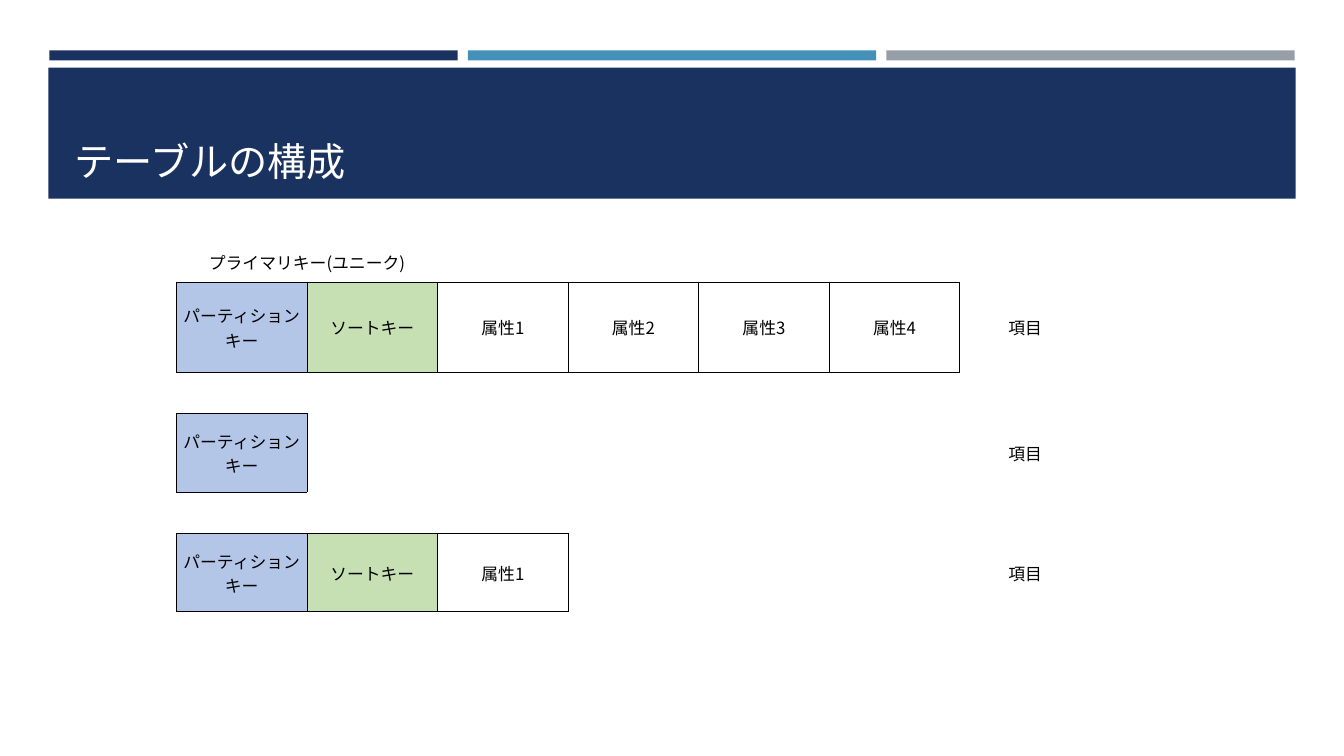
import pptx
import pptx.dml.color
import pptx.enum.shapes
import pptx.enum.text
import pptx.oxml
import pptx.oxml.ns
import pptx.util

Inches, Pt = pptx.util.Inches, pptx.util.Pt
RGBColor = pptx.dml.color.RGBColor
NAVY = RGBColor(0x1A, 0x32, 0x60)
BLUE = RGBColor(0x45, 0x90, 0xB8)
GRAY = RGBColor(0x96, 0x9F, 0xA7)
WHITE = RGBColor(0xFF, 0xFF, 0xFF)
BLACK = RGBColor(0, 0, 0)
PARTITION_BLUE = RGBColor(0xB4, 0xC6, 0xE7)
SORT_GREEN = RGBColor(0xC6, 0xE0, 0xB4)

TITLE = "テーブルの構成"
PRIMARY_KEY = "プライマリキー(ユニーク)"
ITEM = "項目"
FIELDS = ["パーティションキー", "ソートキー", "属性1", "属性2", "属性3", "属性4"]
KEY_FILLS = {0: PARTITION_BLUE, 1: SORT_GREEN}
FIELD_COUNTS = {1: 6, 3: 1, 5: 3}  # table row: number of boxed fields
ROW_HEIGHTS = [0.41, 0.89, 0.41, 0.78, 0.41, 0.78]
COLUMN_COUNT = len(FIELDS) + 1
COLUMN_WIDTH = 1.295
SIDES = {"L": (0, -1), "R": (0, 1), "T": (-1, 0), "B": (1, 0)}


def add_bar(slide, left, top, width, height, color):
    bar = slide.shapes.add_shape(
        pptx.enum.shapes.MSO_SHAPE.RECTANGLE,
        Inches(left), Inches(top), Inches(width), Inches(height))
    bar.shadow.inherit = False
    bar.fill.solid()
    bar.fill.fore_color.rgb = color
    bar.line.fill.background()


def add_title(slide):
    title = slide.shapes.add_textbox(
        Inches(0.64), Inches(0.77), Inches(12.06), Inches(1.11))
    frame = title.text_frame
    frame.word_wrap = True
    frame.vertical_anchor = pptx.enum.text.MSO_ANCHOR.BOTTOM
    paragraph = frame.paragraphs[0]
    paragraph.text = TITLE
    paragraph.font.size = Pt(28)
    paragraph.font.name = "Calibri"
    paragraph.font.color.rgb = WHITE


def is_field(row, column):
    return 0 <= column < FIELD_COUNTS.get(row, 0)


def cell_text(row, column):
    if is_field(row, column):
        return FIELDS[column]
    if row in FIELD_COUNTS and column == COLUMN_COUNT - 1:
        return ITEM
    return PRIMARY_KEY if (row, column) == (0, 0) else ""


def set_borders(cell, row, column):
    """Rule every side that a boxed field touches; clear the others."""
    properties = cell._tc.get_or_add_tcPr()
    for position, (side, (down, right)) in enumerate(SIDES.items()):
        ruled = is_field(row, column) or is_field(row + down, column + right)
        paint = (f'<a:solidFill><a:srgbClr val="{BLACK}"/></a:solidFill>'
                 if ruled else "<a:noFill/>")
        properties.insert(position, pptx.oxml.parse_xml(
            f'<a:ln{side} {pptx.oxml.ns.nsdecls("a")} w="{Pt(0.5)}">'
            f'{paint}</a:ln{side}>'))


def fill_cell(cell, row, column):
    cell.margin_left = cell.margin_right = cell.margin_top = Inches(0.01)
    cell.margin_bottom = 0
    cell.vertical_anchor = pptx.enum.text.MSO_ANCHOR.MIDDLE
    if is_field(row, column) and column in KEY_FILLS:
        cell.fill.solid()
        cell.fill.fore_color.rgb = KEY_FILLS[column]
    else:
        cell.fill.background()
    set_borders(cell, row, column)
    paragraph = cell.text_frame.paragraphs[0]
    paragraph.text = cell_text(row, column)
    paragraph.alignment = pptx.enum.text.PP_ALIGN.CENTER
    paragraph.font.size = Pt(12)
    paragraph.font.name = "Noto Sans CJK JP"
    paragraph.font.color.rgb = BLACK


def add_structure_table(slide):
    table = slide.shapes.add_table(
        len(ROW_HEIGHTS), COLUMN_COUNT, Inches(1.75), Inches(2.39),
        Inches(COLUMN_WIDTH * COLUMN_COUNT), Inches(sum(ROW_HEIGHTS))).table
    table.first_row = table.horz_banding = False
    for column in table.columns:
        column.width = Inches(COLUMN_WIDTH)
    for row, height in enumerate(ROW_HEIGHTS):
        table.rows[row].height = Inches(height)
        for column in range(COLUMN_COUNT):
            fill_cell(table.cell(row, column), row, column)
    table.cell(0, 0).merge(table.cell(0, 1))


def main():
    deck = pptx.Presentation()
    deck.slide_width, deck.slide_height = Inches(13.33), Inches(7.5)
    slide = deck.slides.add_slide(deck.slide_layouts[6])
    for index, color in enumerate([NAVY, BLUE, GRAY]):
        add_bar(slide, 0.49 + 4.15 * index, 0.5, 4.05, 0.1, color)
    add_bar(slide, 0.48, 0.67, 12.37, 1.3, NAVY)
    add_title(slide)
    add_structure_table(slide)
    deck.save("out.pptx")


if __name__ == "__main__":
    main()
